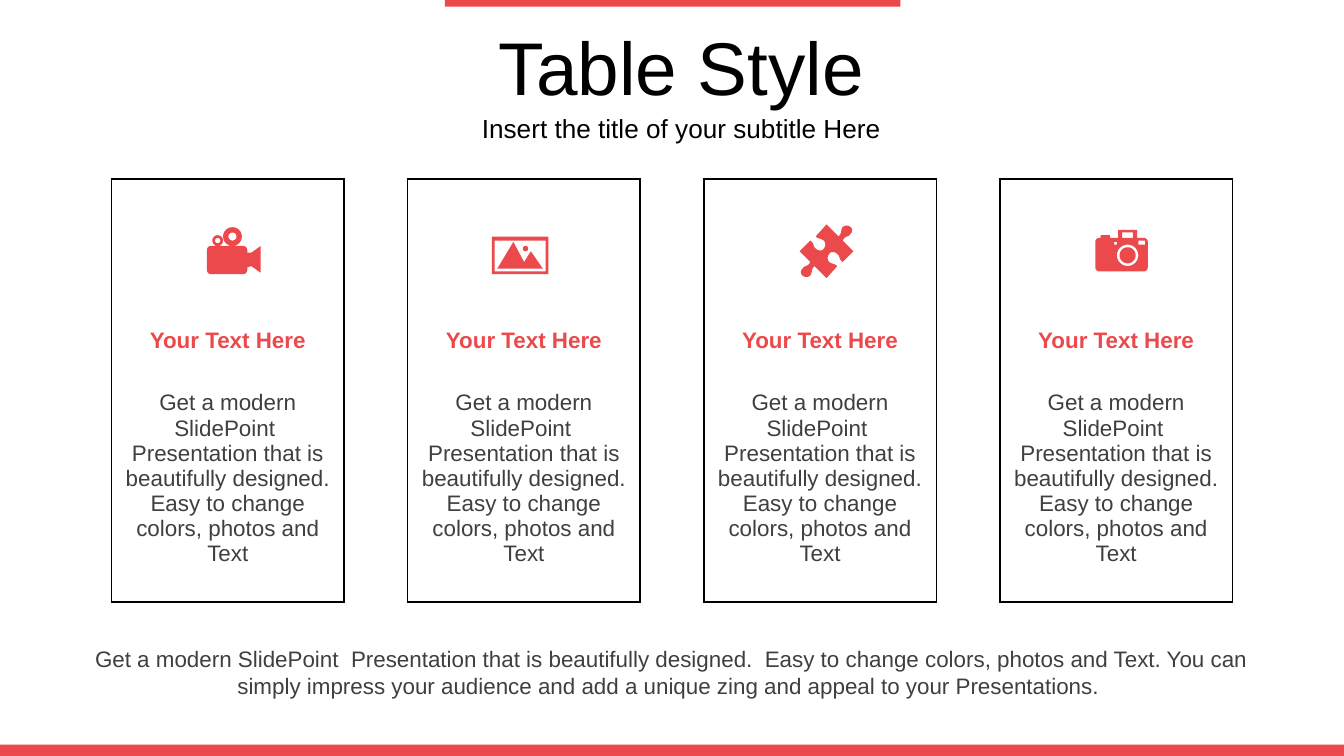
import math
from dataclasses import dataclass

from lxml import etree
from pptx import Presentation
from pptx import util as u
from pptx.dml.color import RGBColor
from pptx.enum import shapes, text
from pptx.oxml.ns import qn


@dataclass(frozen=True)
class Theme:
    accent: str = "EB494B"
    ink: str = "000000"
    body: str = "3F3F3F"
    paper: str = "FFFFFF"
    font: str = "Arial"
    title_size: int = 40
    subtitle_size: int = 14
    body_size: int = 12


T = Theme()
WIDTH = 10
HEIGHT = WIDTH * 9 / 16
ROWS = (0.92, 0.57, 1.66)
CARD_W, CARD_TOP, FRAME = 1.73, 1.33, 3.28
FIRST_LEFT, PITCH, CARDS = 0.83, 6.61 / 3, 4
CARD_TITLE = "Your Text Here"
CARD_BODY = ("Get a modern SlidePoint  Presentation that is beautifully designed. "
             "Easy to change colors, photos and Text")
FOOTER = ("Get a modern SlidePoint  Presentation that is beautifully designed.  "
          "Easy to change colors, photos and Text. You can simply impress your "
          "audience and add a unique zing and appeal to your Presentations. ")


def apply(obj, values):
    for name, value in values.items():
        setattr(obj, name, value)


def paint(shape, color):
    shape.shadow.inherit = False
    shape.fill.solid()
    shape.fill.fore_color.rgb = RGBColor.from_string(color)
    shape.line.fill.background()


def write(tf, words, size, color, bold=False):
    p = tf.paragraphs[0]
    p.alignment = text.PP_ALIGN.CENTER
    r = p.add_run()
    r.text = words
    apply(r.font, {"name": T.font, "size": u.Pt(size), "bold": bold})
    r.font.color.rgb = RGBColor.from_string(color)


def add_bar(s, *box):
    sp = s.shapes.add_shape(shapes.MSO_SHAPE.RECTANGLE, *map(u.Inches, box))
    paint(sp, T.accent)


def add_text(s, box, words, size, color, anchor=text.MSO_ANCHOR.MIDDLE, inset=0.1):
    tf = s.shapes.add_textbox(*map(u.Inches, box)).text_frame
    apply(tf, {"word_wrap": True, "vertical_anchor": anchor,
               "margin_top": u.Inches(inset), "margin_bottom": u.Inches(inset)})
    write(tf, words, size, color)


def set_borders(cell, sides):
    tc_pr = cell._tc.get_or_add_tcPr()
    for i, side in enumerate("LRTB"):
        ln = etree.Element(qn(f"a:ln{side}"), w=str(u.Pt(1)))
        if side in sides:
            fill = etree.SubElement(ln, qn("a:solidFill"))
            etree.SubElement(fill, qn("a:srgbClr"), val=T.ink)
        else:
            etree.SubElement(ln, qn("a:noFill"))
        tc_pr.insert(i, ln)


def add_card(s, left):
    frame = s.shapes.add_table(len(ROWS), 1, u.Inches(left), u.Inches(CARD_TOP),
                               u.Inches(CARD_W), u.Inches(sum(ROWS)))
    table = frame.table
    apply(table, {"first_row": False, "horz_banding": False})
    for i, (height, sides) in enumerate(zip(ROWS, ("LRT", "LR", "LRB"))):
        table.rows[i].height = u.Inches(height)
        cell = table.cell(i, 0)
        cell.vertical_anchor = text.MSO_ANCHOR.MIDDLE
        cell.fill.solid()
        cell.fill.fore_color.rgb = RGBColor.from_string(T.paper)
        set_borders(cell, sides)
    write(table.cell(1, 0).text_frame, CARD_TITLE, T.body_size, T.accent, bold=True)
    write(table.cell(2, 0).text_frame, CARD_BODY, T.body_size, T.body)
    table.cell(2, 0).margin_bottom = u.Inches(0.23)
    apply(frame, {"width": u.Inches(FRAME), "height": u.Inches(FRAME)})


def arc(cx, cy, radius, start=0, sweep=360, steps=24):
    angles = [math.radians(start + sweep * i / steps) for i in range(steps + 1)]
    return [(cx + radius * math.cos(a), cy + radius * math.sin(a)) for a in angles]


def box(x1, y1, x2, y2):
    return [(x1, y1), (x2, y1), (x2, y2), (x1, y2)]


def round_box(x1, y1, x2, y2, radius=0.03):
    centers = box(x1 + radius, y1 + radius, x2 - radius, y2 - radius)
    return [pt for i, (cx, cy) in enumerate(centers)
            for pt in arc(cx, cy, radius, 180 + 90 * i, 90, 6)]


def curve(points, steps=5):
    for i in range(steps):
        t = (i + 1) / steps
        weights = ((1 - t) ** 3, 3 * t * (1 - t) ** 2, 3 * t * t * (1 - t), t ** 3)
        yield tuple(sum(w * pt[k] for w, pt in zip(weights, points)) for k in (0, 1))


def turn(points, cx, cy, degrees):
    c, n = math.cos(math.radians(degrees)), math.sin(math.radians(degrees))
    return [(cx + (x - cx) * c - (y - cy) * n, cy + (x - cx) * n + (y - cy) * c)
            for x, y in points]


def add_icon(s, contours, rotation=0):
    emu = [[(u.Inches(x), u.Inches(y)) for x, y in c] for c in contours]
    fb = s.shapes.build_freeform(*emu[0][0])
    for i, points in enumerate(emu):
        if i:
            fb.move_to(*points[0])
        fb.add_line_segments(points[1:], close=True)
    sp = fb.convert_to_shape()
    paint(sp, T.accent)
    sp.rotation = rotation


def video_icon():
    return [round_box(1.54, 1.83, 1.84, 2.04),
            [(1.84, 1.88), (1.87, 1.88), (1.94, 1.83),
             (1.94, 2.03), (1.87, 1.98), (1.84, 1.99)],
            arc(1.73, 1.76, 0.07), arc(1.73, 1.76, 0.03),
            arc(1.62, 1.79, 0.04), arc(1.62, 1.79, 0.02)]


def landscape_icon():
    return [box(3.66, 1.76, 4.08, 2.04), box(3.68, 1.79, 4.06, 2.02),
            [(3.82, 1.8), (3.9, 1.95), (3.95, 1.87), (4.04, 2), (3.7, 2)],
            arc(3.91, 1.85, 0.02)]


def puzzle_icon():
    half = [(6.33, 1.69)]
    for step in (
        [(6.34, 1.7), (6.35, 1.72), (6.33, 1.74)],
        [(6.31, 1.77), (6.29, 1.75), (6.27, 1.79)],
        [(6.35, 1.87)], [(6.27, 1.95)],
        [(6.24, 1.93), (6.25, 1.9), (6.23, 1.89)],
        [(6.21, 1.87), (6.18, 1.87), (6.17, 1.89)],
        [(6.16, 1.9), (6.15, 1.93), (6.17, 1.95)],
        [(6.2, 1.97), (6.21, 1.96), (6.23, 1.98)],
        [(6.15, 2.07)], [(6.06, 1.98)],
        [(6.03, 2.01), (6.05, 2.02), (6.03, 2.05)],
        [(6.01, 2.07), (5.98, 2.06), (5.97, 2.05)],
    ):
        half += curve([half[-1], *step]) if len(step) == 3 else step
    whole = half + turn(half, 6.15, 1.87, 180)
    return [turn(whole, 6.15, 1.87, -45)]


def camera_icon():
    return [round_box(8.15, 1.77, 8.54, 2.02),
            box(8.32, 1.71, 8.46, 1.77), box(8.35, 1.73, 8.43, 1.77),
            box(8.19, 1.75, 8.26, 1.77),
            box(8.29, 1.8, 8.31, 1.82), box(8.47, 1.79, 8.52, 1.82),
            arc(8.39, 1.9, 0.08), arc(8.39, 1.9, 0.06)]


def main():
    prs = Presentation()
    apply(prs, {"slide_width": u.Inches(WIDTH), "slide_height": u.Inches(HEIGHT)})
    s = prs.slides.add_slide(prs.slide_layouts[6])
    add_bar(s, 3.31, 0, 3.39, 0.05)
    add_bar(s, 0, 5.54, WIDTH, 0.09)
    for i in range(CARDS):
        add_card(s, FIRST_LEFT + i * PITCH)
    add_text(s, (0.55, 4.75, 8.9, 0.5), FOOTER, T.body_size, T.body,
             text.MSO_ANCHOR.TOP, 0.05)
    for contours in (camera_icon(), video_icon(), landscape_icon()):
        add_icon(s, contours)
    add_icon(s, puzzle_icon(), 45)
    add_text(s, (0.45, 0.8, 9.24, 0.31), "Insert the title of your subtitle Here",
             T.subtitle_size, T.ink)
    add_text(s, (0.47, 0.19, 9.2, 0.6), "Table Style", T.title_size, T.ink)
    prs.save("out.pptx")


if __name__ == "__main__":
    main()
